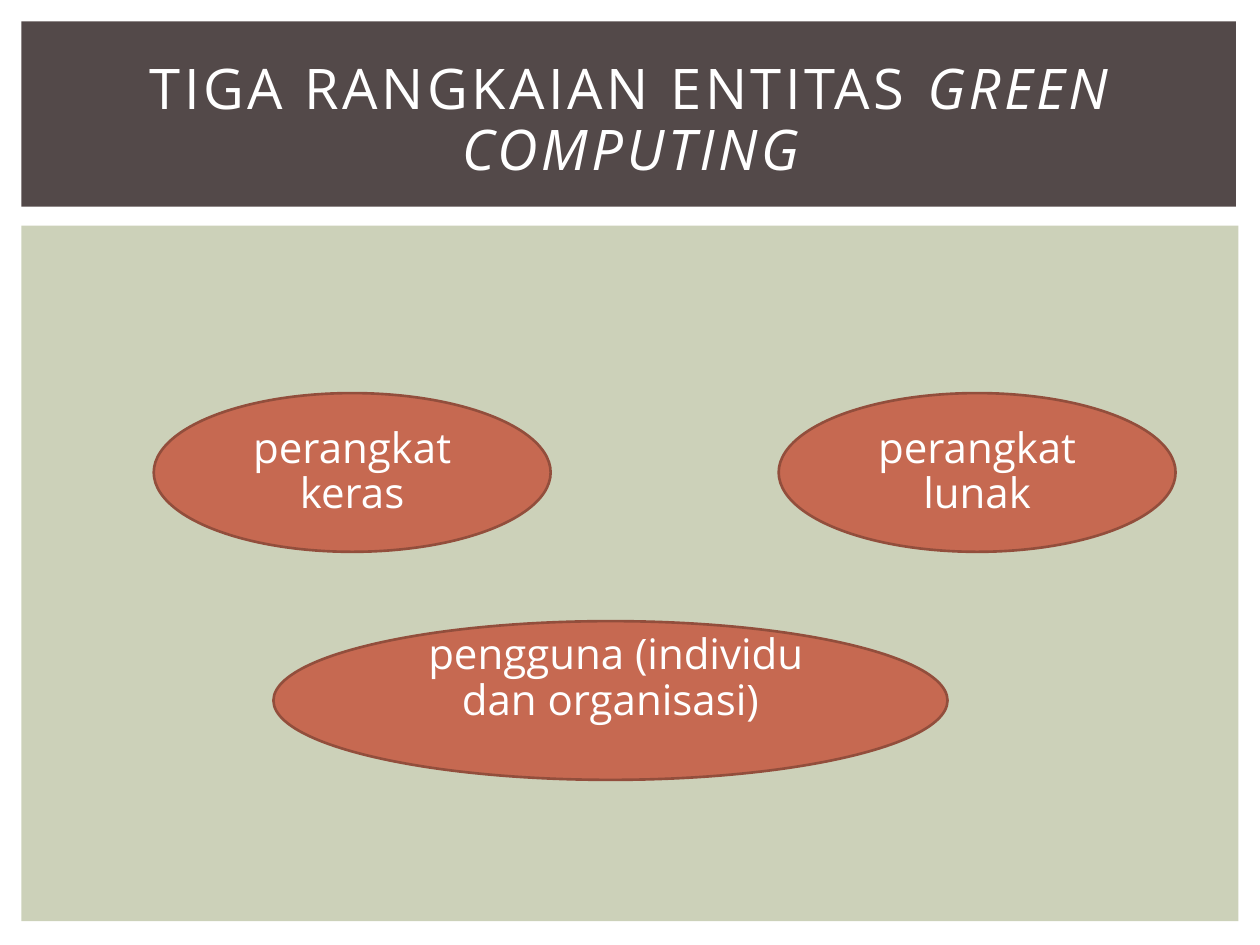
import pptx
import pptx.dml.color
import pptx.enum.shapes
import pptx.enum.text
import pptx.util

Inches = pptx.util.Inches
Pt = pptx.util.Pt
Shape = pptx.enum.shapes.MSO_SHAPE

COLORS = {
    "panel": "CCD1B9",
    "banner": "534949",
    "entity": "C66951",
    "outline": "924E3C",
    "text": "FFFFFF",
}


class SlideBuilder:
    font = "Open Sans"

    def __init__(self, page):
        self.page = page

    def color(self, name):
        return pptx.dml.color.RGBColor.from_string(COLORS[name])

    def shape(self, kind, bounds, fill, outline=None):
        box = self.page.shapes.add_shape(kind, *map(Inches, bounds))
        box.shadow.inherit = False
        box.fill.solid()
        box.fill.fore_color.rgb = self.color(fill)
        if outline:
            box.line.color.rgb = self.color(outline)
            box.line.width = Pt(1.5)
        else:
            box.line.fill.background()
        return box

    def format_text(self, box, size):
        frame = box.text_frame
        frame.word_wrap = True
        frame.vertical_anchor = pptx.enum.text.MSO_ANCHOR.MIDDLE
        para = frame.paragraphs[0]
        para.alignment = pptx.enum.text.PP_ALIGN.CENTER
        para.line_spacing = 0.9
        for span in para.runs:
            span.font.name = self.font
            span.font.size = Pt(size)
            span.font.color.rgb = self.color("text")

    def title(self, bounds, text, emphasis):
        box = self.page.shapes.add_textbox(*map(Inches, bounds))
        para = box.text_frame.paragraphs[0]
        para.text = text
        span = para.add_run()
        span.text = emphasis
        span.font.italic = True
        self.format_text(box, 32)
        for span in para.runs:
            span.font._element.set("spc", "200")

    def entity(self, bounds, text, bottom_margin=0.05):
        box = self.shape(Shape.OVAL, bounds, "entity", "outline")
        box.text_frame.text = text
        box.text_frame.margin_bottom = Inches(bottom_margin)
        self.format_text(box, 24)


def main():
    deck = pptx.Presentation()
    deck.slide_width = Inches(10)
    deck.slide_height = Inches(7.5)
    builder = SlideBuilder(deck.slides.add_slide(deck.slide_layouts[6]))

    builder.shape(Shape.RECTANGLE, (0.17, 1.79, 9.66, 5.52), "panel")
    builder.shape(Shape.RECTANGLE, (0.17, 0.17, 9.64, 1.47), "banner")
    builder.title((0.42, 0.39, 9.17, 1.15), "TIGA RANGKAIAN ENTITAS ", "GREEN COMPUTING")

    for left, text in ((1.22, "perangkat keras"), (6.18, "perangkat lunak")):
        builder.entity((left, 3.12, 3.15, 1.26), text)
    builder.entity((2.17, 4.93, 5.35, 1.26), " pengguna (individu dan organisasi)", 0.39)

    deck.save("out.pptx")


if __name__ == "__main__":
    main()
